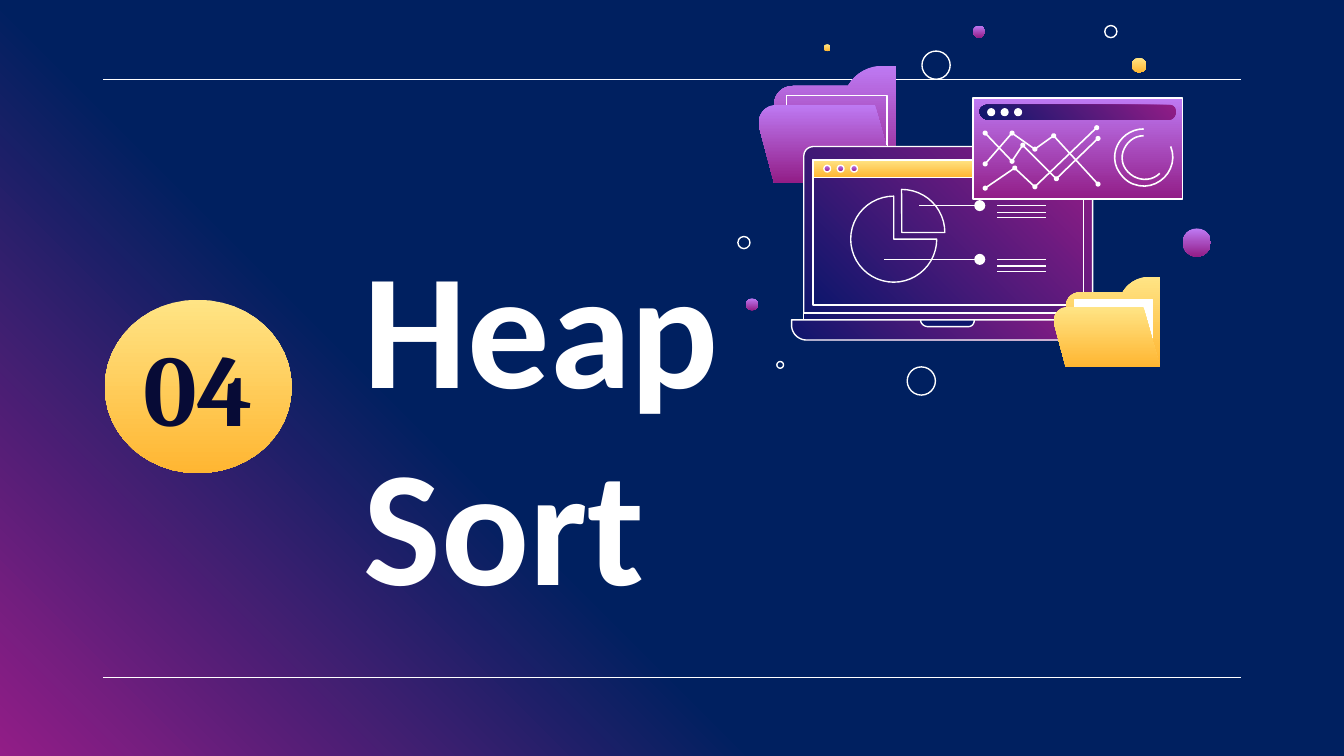
from lxml.etree import SubElement as Sub
from pptx import Presentation
from pptx.dml.color import RGBColor as Rgb
from pptx.enum.shapes import MSO_CONNECTOR as Conn, MSO_SHAPE as Shape
from pptx.enum.text import MSO_ANCHOR as Anchor, PP_ALIGN as Align
from pptx.oxml.ns import qn
from pptx.util import Inches, Pt

WHITE = "FFFFFF"
GOLD = ("FFE485", "FFB632", 90)
PURPLE = ("BE7AF3", "921D87", 90)
DUSK = ("921D87", "0E166C", 135)


def color(code):
    return Rgb.from_string(code)


def blend(fill, first, last, angle, start=0):
    fill.gradient()
    fill.gradient_angle = 360 - angle
    for stop, code, place in zip(fill.gradient_stops, (first, last), (start, 1)):
        stop.color.rgb = color(code)
        stop.position = place


def paint(shape, fill=None, line=None, width=0.75):
    shape.shadow.inherit = False
    if fill is None:
        shape.fill.background()
    elif isinstance(fill, tuple):
        blend(shape.fill, *fill)
    else:
        shape.fill.solid()
        shape.fill.fore_color.rgb = color(fill)
    if line:
        shape.line.color.rgb = color(line)
        shape.line.width = Pt(width)
    else:
        shape.line.fill.background()
    return shape


def rule(slide, x1, y1, x2, y2, dot=False):
    line = slide.shapes.add_connector(
        Conn.STRAIGHT, Inches(x1), Inches(y1), Inches(x2), Inches(y2))
    line.line.color.rgb = color(WHITE)
    line.line.width = Pt(0.75)
    props = line._element.spPr
    if dot:
        Sub(props.find(qn("a:ln")), qn("a:tailEnd"), type="oval")
    Sub(props, qn("a:effectLst"))


def place(slide, kind, x, y, w, h, *style):
    shape = slide.shapes.add_shape(
        kind, Inches(x), Inches(y), Inches(w), Inches(h))
    return paint(shape, *style)


def oval(slide, *spec):
    place(slide, Shape.OVAL, *spec)


def box(slide, *spec):
    place(slide, Shape.RECTANGLE, *spec)


def pie(slide, x, y, size, start, turn=0):
    shape = place(slide, Shape.PIE, x, y, size, size, None, WHITE)
    shape.adjustments[0] = start
    shape.adjustments[1] = 162
    shape.rotation = turn


def bend(a, b, c, d, t):
    u = 1 - t
    return u**3 * a + 3 * u * u * t * b + 3 * u * t * t * c + t**3 * d


def trace(slide, path, *style, close=True):
    points = [path[0]]
    for step in path[1:]:
        if len(step) == 2:
            points.append(step)
            continue
        x, y = points[-1]
        points += [(bend(x, *step[::2], i / 12), bend(y, *step[1::2], i / 12))
                   for i in range(1, 13)]
    first, *rest = [(Inches(x), Inches(y)) for x, y in points]
    form = slide.shapes.build_freeform(*first)
    form.add_line_segments(rest, close=close)
    return paint(form.convert_to_shape(), *style)


def write(shape, text, face, size, code):
    frame = shape.text_frame
    frame.word_wrap = True
    for side in ("left", "top", "right", "bottom"):
        setattr(frame, f"margin_{side}", Inches(0.1))
    frame.text = text
    para = frame.paragraphs[0]
    para.font.name = face
    para.font.size = Pt(size)
    para.font.bold = True
    para.font.color.rgb = color(code)
    return frame, para


def folder(slide, x, y, size, fill, paper):
    def fit(path):
        return [tuple(v * size + (y if i % 2 else x) for i, v in enumerate(step))
                for step in path]

    back = [(0.8, 0), (0.71, 0, 0.62, 0.05, 0.57, 0.12), (0.55, 0.15), (0.14, 0.15),
            (0.06, 0.15, 0, 0.21, 0, 0.29), (0, 0.87), (0.91, 0.87), (0.91, 0)]
    front = [(0.02, 0.29), (-0.07, 0.29, -0.13, 0.37, -0.11, 0.46), (0, 0.87),
             (0.91, 0.87), (0.75, 0.29)]
    trace(slide, fit(back), fill)
    box(slide, x + 0.09 * size, y + 0.22 * size, 0.75 * size, 0.55 * size, paper, WHITE)
    trace(slide, fit(front), fill)


def laptop(slide):
    lid = [(6.06, 1.09), (6.01, 1.09, 5.98, 1.12, 5.98, 1.17), (5.98, 2.38),
           (8.13, 2.38), (8.13, 1.17), (8.13, 1.12, 8.1, 1.09, 8.05, 1.09)]
    base = [(5.89, 2.38), (5.89, 2.42), (5.89, 2.48, 5.94, 2.53, 6, 2.53), (8.11, 2.53),
            (8.17, 2.53, 8.22, 2.48, 8.22, 2.42), (8.22, 2.38)]
    notch = [(6.85, 2.38), (6.85, 2.41, 6.88, 2.43, 6.9, 2.43), (7.21, 2.43),
             (7.23, 2.43, 7.25, 2.41, 7.25, 2.38)]
    trace(slide, lid, DUSK, WHITE)
    box(slide, 5.98, 2.33, 2.15, 0.05, DUSK, WHITE)
    trace(slide, base, DUSK, WHITE)
    trace(slide, notch, "0E166C", WHITE)
    box(slide, 6.05, 1.19, 2.01, 1.08, DUSK, WHITE)
    box(slide, 6.05, 1.19, 2.01, 0.13, GOLD, WHITE)
    for i in range(3):
        oval(slide, 6.13 + 0.1 * i, 1.23, 0.05, 0.05, PURPLE, WHITE)
    pie(slide, 6.33, 1.46, 0.64, 0)
    for left, y in ((6.84, 1.53), (6.58, 1.93)):
        rule(slide, left, y, 7.29, y, True)
        for gap in (0, 0.05, 0.09):
            rule(slide, 7.42, y + gap, 7.78, y + gap)
    pie(slide, 6.39, 1.41, 0.64, 107.78, 90)


def panel(slide):
    bar = [(8.7, 0.78), (7.35, 0.78), (7.32, 0.78, 7.29, 0.8, 7.29, 0.83),
           (7.29, 0.86, 7.32, 0.89, 7.35, 0.89), (8.7, 0.89),
           (8.73, 0.89, 8.75, 0.86, 8.75, 0.83), (8.75, 0.8, 8.73, 0.78, 8.7, 0.78)]
    box(slide, 7.24, 0.73, 1.56, 0.75, PURPLE, WHITE)
    trace(slide, bar, DUSK)
    for i in range(3):
        oval(slide, 7.35 + 0.1 * i, 0.81, 0.05, 0.05, WHITE, WHITE)
    pink, blue = "E040FB", "0288D1"
    plots = (
        (pink, [(7.33, 1.22), (7.53, 0.99), (7.7, 1.11), (7.84, 1.01), (8.17, 1.37)]),
        (blue, [(7.33, 0.99), (7.53, 1.2), (7.61, 1.08), (7.86, 1.33), (8.17, 1.03)]),
        (pink, [(7.33, 1.4), (7.55, 1.25), (7.7, 1.39), (8.16, 0.95)]),
    )
    for _, path in plots:
        trace(slide, path, None, WHITE, 0.85, close=False)
    for code, path in plots:
        for x, y in path:
            oval(slide, x - 0.01, y - 0.01, 0.02, 0.02, code, WHITE, 1.25)
    rings = (
        [(8.71, 1.09), (8.78, 1.26, 8.61, 1.44, 8.43, 1.37),
         (8.38, 1.35, 8.34, 1.31, 8.31, 1.25), (8.25, 1.11, 8.36, 0.96, 8.51, 0.96)],
        [(8.63, 1.29), (8.55, 1.37, 8.41, 1.34, 8.36, 1.23),
         (8.32, 1.13, 8.4, 1.01, 8.51, 1.01)],
    )
    for ring in rings:
        trace(slide, ring, None, WHITE, 0.85, close=False)


def badge(slide):
    disc = [(2.17, 2.88), (2.17, 3.24, 1.86, 3.52, 1.47, 3.52),
            (1.09, 3.52, 0.78, 3.24, 0.78, 2.88), (0.78, 2.52, 1.09, 2.23, 1.47, 2.23),
            (1.86, 2.23, 2.17, 2.52, 2.17, 2.88)]
    frame, para = write(trace(slide, disc, GOLD), "04", "Cambria", 54, "070B36")
    frame.vertical_anchor = Anchor.MIDDLE
    para.alignment = Align.CENTER


def main():
    deck = Presentation()
    deck.slide_width = Inches(10)
    deck.slide_height = Inches(10) * 9 // 16
    slide = deck.slides.add_slide(deck.slide_layouts[6])
    blend(slide.background.fill, "002060", "921D87", 135, 0.64)
    for y in (0.59, 5.04):
        rule(slide, 0.77, y, 9.23, y)

    title = slide.shapes.add_textbox(
        Inches(2.61), Inches(1.57), Inches(8.44), Inches(0.66))
    write(title, "Heap \vSort", "Calibri", 88, WHITE)
    badge(slide)

    folder(slide, 5.76, 0.49, 1, PURPLE, None)
    laptop(slide)
    folder(slide, 7.93, 2.06, 0.77, GOLD, WHITE)
    panel(slide)

    for x, y, size, fill in (
        (6.86, 0.38, 0.21, None), (5.49, 1.76, 0.09, None), (5.78, 2.69, 0.05, None),
        (8.8, 1.7, 0.21, PURPLE), (6.13, 0.33, 0.05, GOLD), (7.24, 0.19, 0.09, PURPLE),
        (6.75, 2.73, 0.21, None), (5.55, 2.22, 0.09, PURPLE), (8.42, 0.43, 0.11, GOLD),
        (8.22, 0.19, 0.09, None),
    ):
        oval(slide, x, y, size, size, fill, None if fill else WHITE)
    deck.save("out.pptx")


if __name__ == "__main__":
    main()
